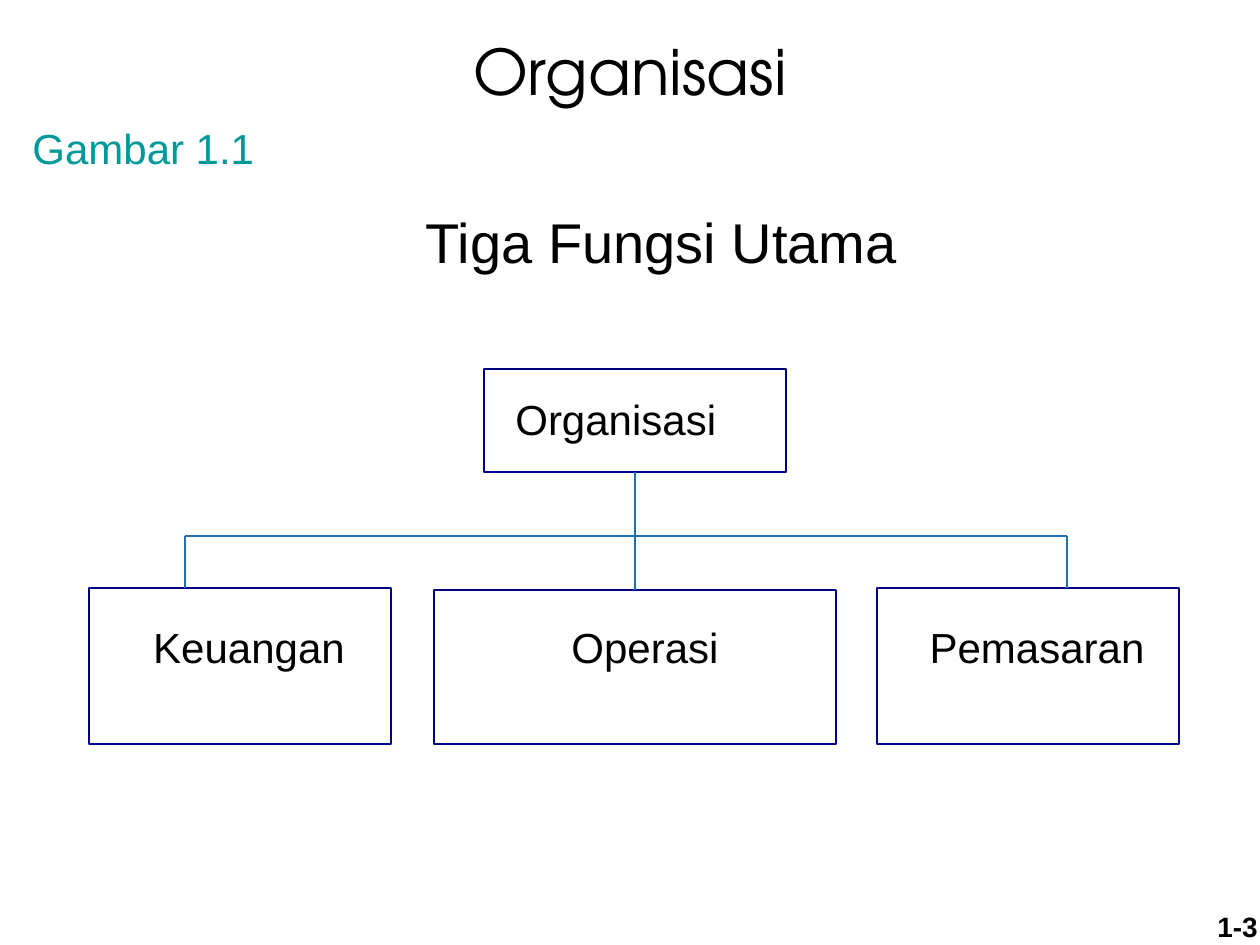
from lxml.etree import SubElement
from pptx import Presentation
from pptx.dml.color import RGBColor
from pptx.enum.shapes import MSO_CONNECTOR, MSO_SHAPE
from pptx.enum.text import MSO_ANCHOR, PP_ALIGN
from pptx.oxml.ns import qn
from pptx.util import Emu, Pt

PX = 914400 // 126
BLACK, TEAL, NAVY, BLUE = "000000", "009999", "000080", "206FB1"
TOP, BOTTOM = 0, 2

# Each entry: text, (left, top, width, height) in px, format
HEADINGS = [
    ("1-3", (976, 903, 294, 66), dict(size=16, bold=True, align=PP_ALIGN.RIGHT)),
    ("Organisasi", (0, 26, 1260, 88), dict(size=36, font="TeX Gyre Adventor")),
    ("Tiga Fungsi Utama", (168, 168, 987, 147),
     dict(size=32, anchor=MSO_ANCHOR.MIDDLE, wrap=False)),
    ("Gambar 1.1", (20, 116, 247, 63),
     dict(color=TEAL, align=PP_ALIGN.LEFT, wrap=False)),
]

# Each entry: label, label frame, box frame
ROOT = ("Organisasi", (503, 387, 226, 63), (484, 369, 302, 103))
FUNCTIONS = [
    ("Keuangan", (102, 615, 294, 63), (89, 588, 302, 156)),
    ("Operasi", (498, 615, 294, 63), (434, 590, 402, 154)),
    ("Pemasaran", (890, 615, 294, 63), (877, 588, 302, 156)),
]
BUS_Y, BUS_LEFT, BUS_RIGHT = 536, 185, 1067


def rgb(value):
    return RGBColor.from_string(value)


def scaled(lengths):
    return [Emu(length * PX) for length in lengths]


def add_text(slide, text, frame, size=24, font="Arial", color=BLACK, bold=False,
             align=PP_ALIGN.CENTER, anchor=MSO_ANCHOR.TOP, wrap=True):
    text_frame = slide.shapes.add_textbox(*scaled(frame)).text_frame
    text_frame.word_wrap = wrap
    text_frame.vertical_anchor = anchor
    paragraph = text_frame.paragraphs[0]
    paragraph.alignment = align
    run = paragraph.add_run()
    run.text = text
    run.font.size = Pt(size)
    run.font.name = font
    run.font.bold = bold
    run.font.color.rgb = rgb(color)


def add_box(slide, frame):
    shape = slide.shapes.add_shape(MSO_SHAPE.RECTANGLE, *scaled(frame))
    shape.shadow.inherit = False
    shape.fill.background()
    shape.line.color.rgb = rgb(NAVY)
    shape.line.width = Pt(1)
    return shape


def add_line(slide, start, end):
    line = slide.shapes.add_connector(MSO_CONNECTOR.STRAIGHT, *scaled(start + end))
    line.line.color.rgb = rgb(BLUE)
    line.line.width = Pt(1)
    SubElement(line._element.spPr, qn("a:effectLst"))
    return line


def add_chart_tree(slide):
    """Draw the root, its three functions and the lines between them."""
    label, label_frame, (left, top, width, height) = ROOT
    add_text(slide, label, label_frame, align=PP_ALIGN.LEFT, wrap=False)
    root_box = add_box(slide, (left, top, width, height))
    trunk_x, root_bottom = left + width // 2, top + height

    boxes = []
    for label, label_frame, box_frame in FUNCTIONS:
        add_text(slide, label, label_frame)
        boxes.append(add_box(slide, box_frame))

    trunk = add_line(slide, (trunk_x, root_bottom), (trunk_x, BUS_Y))
    trunk.begin_connect(root_box, BOTTOM)
    add_line(slide, (BUS_LEFT, BUS_Y), (BUS_RIGHT, BUS_Y))
    for x, (_, _, box_frame) in zip((BUS_LEFT, trunk_x, BUS_RIGHT), FUNCTIONS):
        drop = add_line(slide, (x, BUS_Y), (x, box_frame[1]))
        if x == trunk_x:
            drop.end_connect(boxes[1], TOP)


def main():
    presentation = Presentation()
    presentation.slide_width, presentation.slide_height = scaled((1260, 945))
    slide = presentation.slides.add_slide(presentation.slide_layouts[6])
    for text, frame, text_format in HEADINGS:
        add_text(slide, text, frame, **text_format)
    add_chart_tree(slide)
    presentation.save("out.pptx")


if __name__ == "__main__":
    main()
